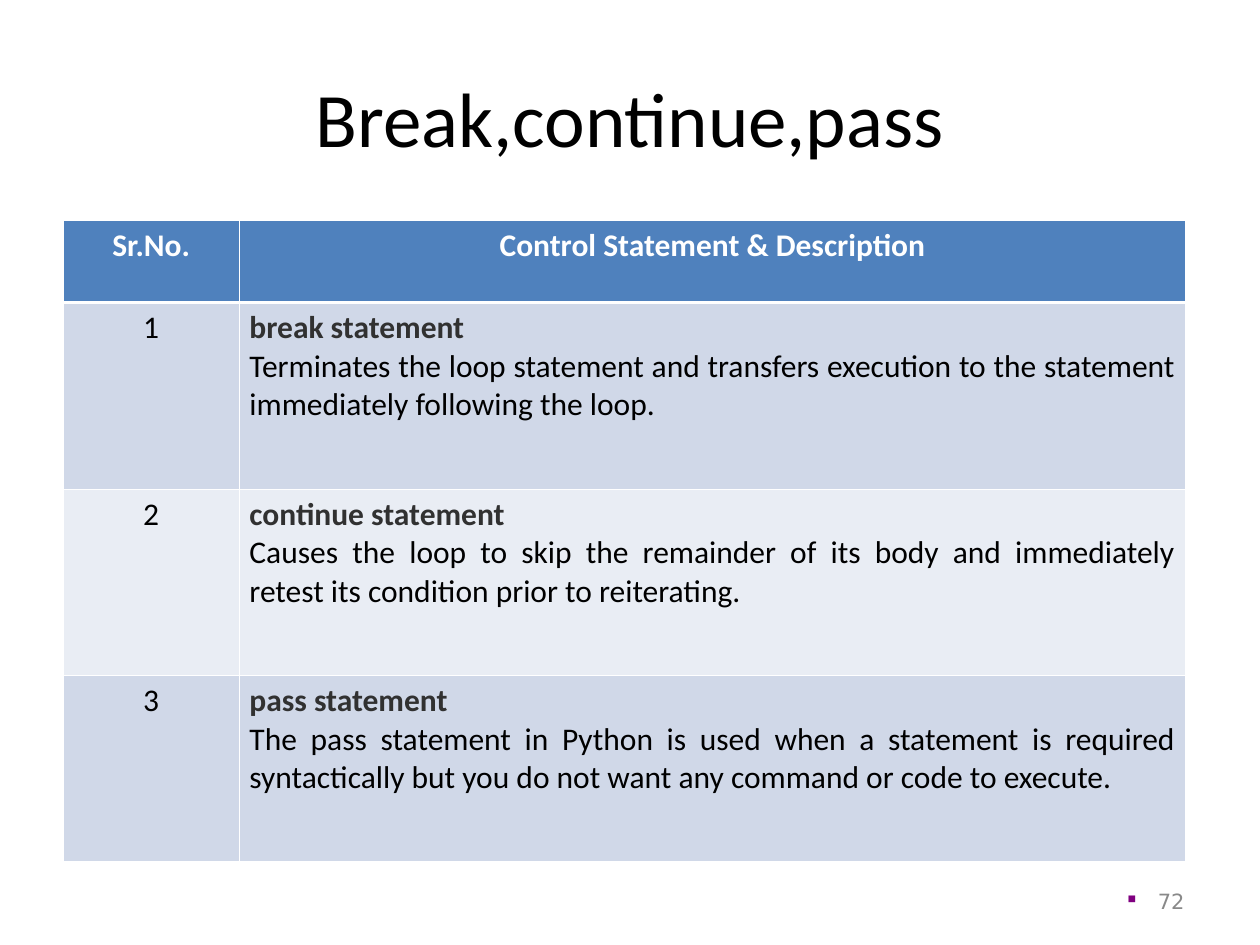
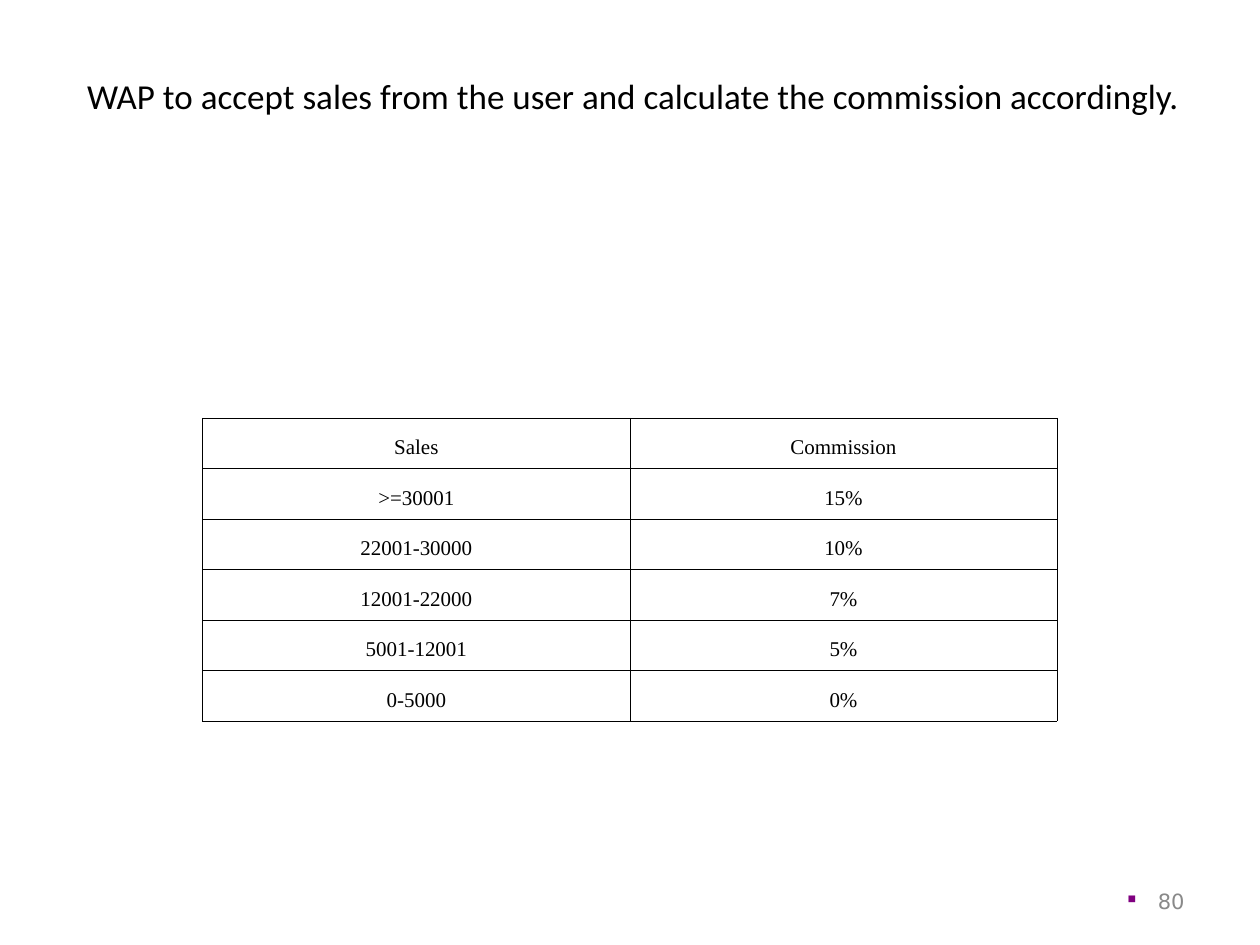
import pptx
import pptx.util
import pptx.dml.color
import pptx.enum.text
import pptx.oxml
import pptx.oxml.ns
import lxml.etree

Inches, Pt = pptx.util.Inches, pptx.util.Pt
RGBColor = pptx.dml.color.RGBColor
ALIGN, ANCHOR = pptx.enum.text.PP_ALIGN, pptx.enum.text.MSO_ANCHOR
qn = pptx.oxml.ns.qn

# Content
TERMS = [
    ("Sr.No.", ["Control Statement & Description"]),
    ("1", ["break statement",
           "Terminates the loop statement and transfers execution to the "
           "statement immediately following the loop."]),
    ("2", ["continue statement",
           "Causes the loop to skip the remainder of its body and immediately "
           "retest its condition prior to reiterating."]),
    ("3", ["pass statement",
           "The pass statement in Python is used when a statement is required "
           "syntactically but you do not want any command or code to execute."]),
]
SALES = [("Sales", "Commission"), (">=30001", "15%"), ("22001-30000", "10%"),
         ("12001-22000", "7%"), ("5001-12001", "5%"), ("0-5000", "0%")]

# Shared look
BLACK = RGBColor(0x00, 0x00, 0x00)
WHITE = RGBColor(0xFF, 0xFF, 0xFF)
BLUE = RGBColor(0x4F, 0x81, 0xBD)
BANDS = RGBColor(0xE9, 0xED, 0xF4), RGBColor(0xD0, 0xD8, 0xE8)
DARK = RGBColor(0x31, 0x31, 0x31)
GREY = RGBColor(0x89, 0x89, 0x89)
PURPLE = RGBColor(0x80, 0x00, 0x80)
SANS, SERIF, SMALL = "Calibri", "Times New Roman", "DejaVu Sans"
THIN, THICK = 0.45, 1.47


def write(par, text, size=18, font=SANS, color=BLACK, bold=False,
          align=ALIGN.CENTER, lead=None):
    par.alignment = align
    if lead:
        par.line_spacing = lead
    run = par.add_run()
    run.text = text
    run.font.size, run.font.name, run.font.bold = Pt(size), font, bold
    run.font.color.rgb = color


def place(shape, left, top, width, height):
    shape.left, shape.top = Inches(left), Inches(top)
    shape.width, shape.height = Inches(width), Inches(height)


def start(deck, title, size, page):
    """Add a slide with its title and its page number."""
    slide = deck.slides.add_slide(deck.slide_layouts[5])
    head = slide.shapes.title
    place(head, 0.5, 0.3, 9, 1.25)
    head.text_frame.vertical_anchor = ANCHOR.MIDDLE
    write(head.text_frame.paragraphs[0], title, size)

    # Page number with a square bullet
    frame = slide.shapes.add_textbox(
        Inches(7.17), Inches(6.95), Inches(2.33), Inches(0.4)).text_frame
    frame.word_wrap = True
    frame.vertical_anchor = ANCHOR.MIDDLE
    par = frame.paragraphs[0]
    props = par._p.get_or_add_pPr()
    props.set("marL", str(Inches(0.24)))
    props.set("indent", str(-Inches(0.24)))
    tint = lxml.etree.SubElement(props, qn("a:buClr"))
    lxml.etree.SubElement(tint, qn("a:srgbClr"), val=str(PURPLE))
    lxml.etree.SubElement(props, qn("a:buSzPct"), val="55000")
    lxml.etree.SubElement(props, qn("a:buChar"), char="■")
    write(par, page, 12, SMALL, GREY, align=ALIGN.RIGHT)
    return slide


def make_grid(slide, left, top, cols, rows):
    table = slide.shapes.add_table(
        len(rows), len(cols), Inches(left), Inches(top),
        Inches(sum(cols)), Inches(sum(rows))).table
    table.first_row = table.horz_banding = False
    for col, width in zip(table.columns, cols):
        col.width = Inches(width)
    for row, height in zip(table.rows, rows):
        row.height = Inches(height)
    return table


def style(cell, fill, color, above=THIN, below=THIN):
    """Set the margins, fill and four borders of a cell."""
    cell.margin_left = cell.margin_right = Inches(0.08)
    if fill is None:
        cell.fill.background()
    else:
        cell.fill.solid()
        cell.fill.fore_color.rgb = fill
    props = cell._tc.get_or_add_tcPr()
    sides = {"lnL": THIN, "lnR": THIN, "lnT": above, "lnB": below}
    for spot, (side, width) in enumerate(sides.items()):
        line = pptx.oxml.parse_xml(
            f'<a:{side} {pptx.oxml.ns.nsdecls("a")} w="{Pt(width)}">'
            f'<a:solidFill><a:srgbClr val="{color}"/></a:solidFill></a:{side}>')
        props.insert(spot, line)


def add_terms(deck):
    slide = start(deck, "Break,continue,pass", 44, "72")
    table = make_grid(slide, 0.5, 1.75, [1.4, 7.51], [0.65] + [1.48] * 3)
    for i, (num, lines) in enumerate(TERMS):
        top = i == 0
        for j in range(2):
            style(table.cell(i, j), BLUE if top else BANDS[i % 2], WHITE,
                  THICK if i == 1 else THIN, THICK if top else THIN)
        write(table.cell(i, 0).text_frame.paragraphs[0], num,
              color=WHITE if top else BLACK, bold=top)
        frame = table.cell(i, 1).text_frame
        for k, line in enumerate(lines):
            par = frame.add_paragraph() if k else frame.paragraphs[0]
            write(par, line, bold=k == 0,
                  color=WHITE if top else (DARK, BLACK)[k],
                  align=ALIGN.CENTER if top else ALIGN.JUSTIFY)


def add_sales(deck):
    slide = start(deck, "WAP to accept sales from the user and calculate "
                  "the commission accordingly.", 20, "80")
    # Raise the title a little within its box
    frame = slide.shapes.title.text_frame
    frame.margin_left, frame.margin_bottom = Inches(0.15), Inches(0.38)
    table = make_grid(slide, 1.61, 3.32, [3.39] * 2, [0.3] * len(SALES))
    for i, row in enumerate(SALES):
        for j, text in enumerate(row):
            cell = table.cell(i, j)
            style(cell, None, BLACK)
            write(cell.text_frame.paragraphs[0], text, 12, SERIF, lead=1.5)


def main():
    deck = pptx.Presentation()
    deck.slide_width, deck.slide_height = Inches(10), Inches(7.5)
    add_terms(deck)
    add_sales(deck)
    deck.save("out.pptx")


if __name__ == "__main__":
    main()
